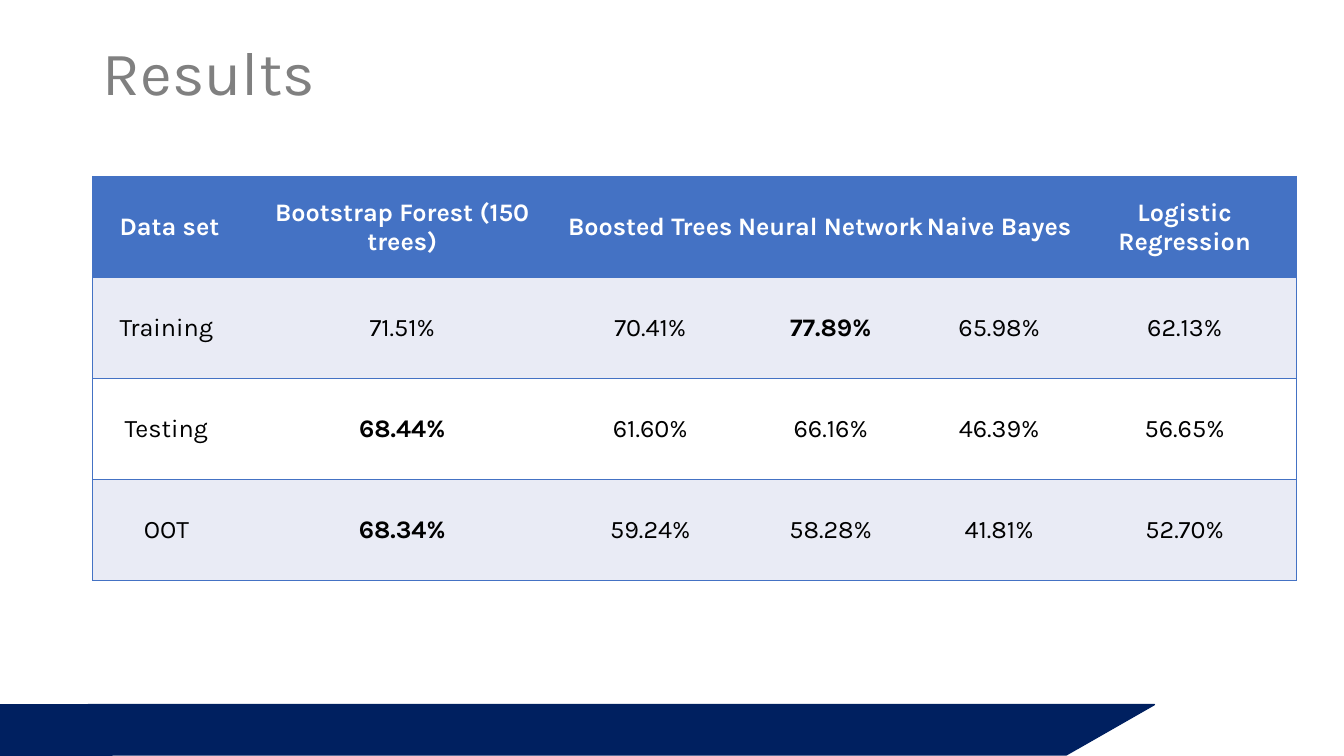
from dataclasses import dataclass

from lxml import etree
from pptx import Presentation
from pptx.dml.color import RGBColor
from pptx.enum.shapes import MSO_SHAPE
from pptx.enum.text import MSO_ANCHOR, PP_ALIGN
from pptx.oxml.ns import qn
from pptx.util import Inches, Pt

RECTANGLE, PARALLELOGRAM = MSO_SHAPE.RECTANGLE, MSO_SHAPE.PARALLELOGRAM
MIDDLE = MSO_ANCHOR.MIDDLE
LEFT, CENTER = PP_ALIGN.LEFT, PP_ALIGN.CENTER
TITLE_ONLY = 5


@dataclass(frozen=True)
class Theme:
    font: str = "Karla"
    title_size: int = 44
    table_size: int = 18
    title: str = "808080"
    footer: str = "002060"
    accent: str = "4472C4"
    band: str = "E9EBF5"
    white: str = "FFFFFF"
    ink: str = "000000"


HEADERS = [" Data set", "Bootstrap Forest (150 trees)", "Boosted Trees",
           "Neural Network", "Naive Bayes", "Logistic Regression"]
ACCURACY = [
    ["Training", "71.51%", "70.41%", "77.89%", "65.98%", "62.13%"],
    ["Testing", "68.44%", "61.60%", "66.16%", "46.39%", "56.65%"],
    ["OOT", "68.34%", "59.24%", "58.28%", "41.81%", "52.70%"],
]
COLUMN_WIDTHS = [1.46, 3.22, 1.7, 1.88, 1.46, 2.22]


class ResultsSlide:
    def __init__(self, slide, theme):
        self.slide = slide
        self.theme = theme

    def style_text(self, frame, size, color, align, bold=False):
        frame.vertical_anchor = MIDDLE
        for paragraph in frame.paragraphs:
            paragraph.alignment = align
            for run in paragraph.runs:
                run.font.name = self.theme.font
                run.font.size = Pt(size)
                run.font.bold = bold
                run.font.color.rgb = RGBColor.from_string(color)

    def title(self, text, left, top, width, height):
        heading = self.slide.shapes.title
        heading.left, heading.top = Inches(left), Inches(top)
        heading.width, heading.height = Inches(width), Inches(height)
        heading.text_frame.text = text
        heading.text_frame.paragraphs[0].line_spacing = 0.9
        self.style_text(heading.text_frame, self.theme.title_size,
                        self.theme.title, LEFT)

    def footer_shape(self, kind, left, top, width, height):
        bar = self.slide.shapes.add_shape(
            kind, Inches(left), Inches(top), Inches(width), Inches(height))
        color = RGBColor.from_string(self.theme.footer)
        bar.shadow.inherit = False
        bar.fill.solid()
        bar.fill.fore_color.rgb = color
        bar.line.color.rgb = color
        bar.line.width = Pt(1)
        return bar

    def cell_borders(self, cell, sides):
        properties = cell._tc.get_or_add_tcPr()
        for side in "LRTB":
            line = etree.SubElement(properties, qn(f"a:ln{side}"), w=str(Pt(1)))
            if side in sides:
                fill = etree.SubElement(line, qn("a:solidFill"))
                etree.SubElement(fill, qn("a:srgbClr"), val=self.theme.accent)
            else:
                etree.SubElement(line, qn("a:noFill"))

    def cell(self, cell, text, fill, color, bold, sides):
        cell.margin_left = cell.margin_right = cell.margin_top = Inches(0.01)
        cell.margin_bottom = 0
        cell.vertical_anchor = MIDDLE
        self.cell_borders(cell, sides)
        cell.fill.solid()
        cell.fill.fore_color.rgb = RGBColor.from_string(fill)
        cell.text_frame.text = text
        self.style_text(cell.text_frame, self.theme.table_size, color, CENTER, bold)

    def table(self, headers, body, widths, left, top, height):
        rows = [headers] + body
        table = self.slide.shapes.add_table(
            len(rows), len(headers), Inches(left), Inches(top),
            Inches(sum(widths)), Inches(height)).table
        for column, width in zip(table.columns, widths):
            column.width = Inches(width)
        for r, row in enumerate(rows):
            is_header = r == 0
            best = max(row[1:], key=lambda value: float(value.rstrip("%"))) \
                if not is_header else None
            band = self.theme.band if r % 2 else self.theme.white
            fill = self.theme.accent if is_header else band
            color = self.theme.white if is_header else self.theme.ink
            for c, text in enumerate(row):
                sides = "TB" + "L" * (c == 0) + "R" * (c == len(row) - 1)
                self.cell(table.cell(r, c), text, fill, color,
                          is_header or text == best, sides)


def main():
    deck = Presentation()
    deck.slide_width, deck.slide_height = Inches(13.33), Inches(7.5)
    results = ResultsSlide(
        deck.slides.add_slide(deck.slide_layouts[TITLE_ONLY]), Theme())

    # Footer band
    slanted_bar = results.footer_shape(PARALLELOGRAM, 0, 6.99, 11.45, 0.5)
    slanted_bar.adjustments[0] = 1.75
    results.footer_shape(RECTANGLE, 0, 6.99, 1.11, 0.5)

    # Title
    results.title("Results", 0.92, 0.24, 11.5, 1.02)

    # Accuracy by model, best value of each data set in bold
    results.table(HEADERS, ACCURACY, COLUMN_WIDTHS, 0.92, 1.75, 4.01)

    deck.save("out.pptx")


if __name__ == "__main__":
    main()
